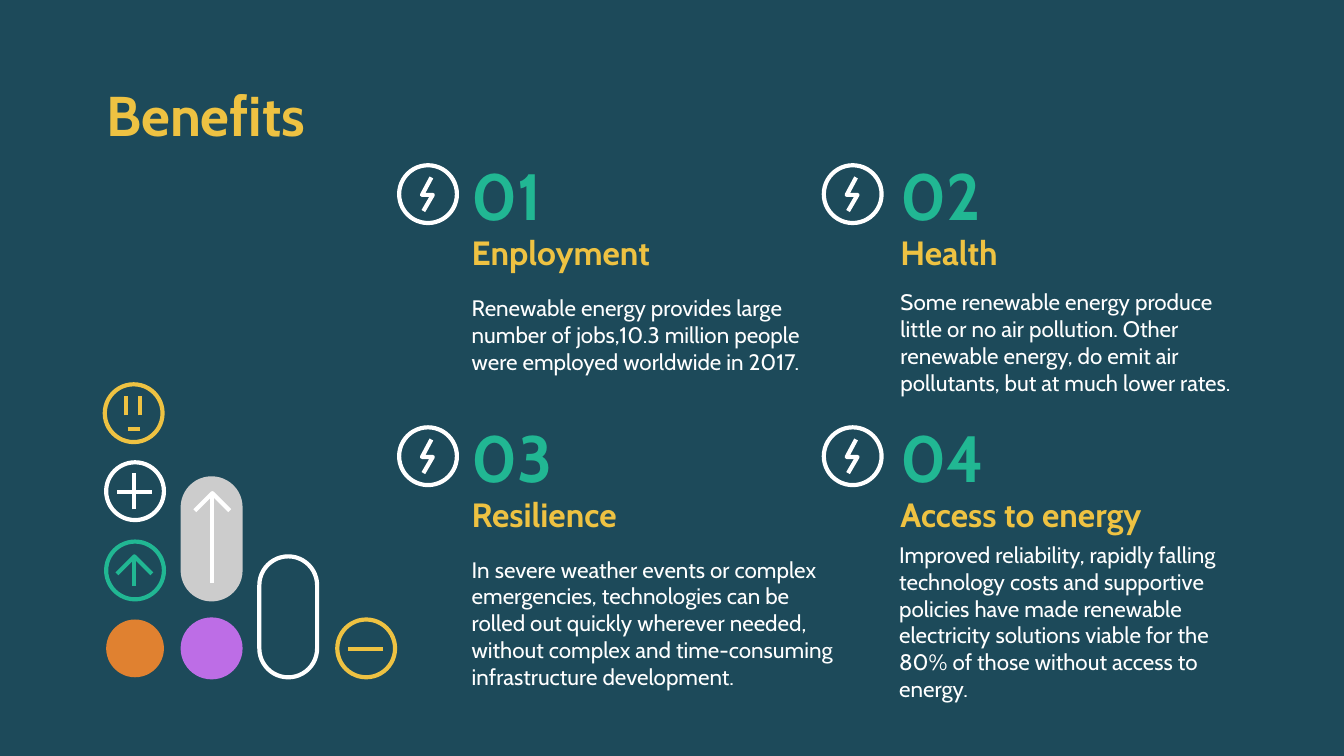
from lxml import etree
from pptx import Presentation
from pptx import util as u
from pptx.dml.color import RGBColor
from pptx.enum import shapes, text
from pptx.oxml.ns import qn

NAVY = RGBColor(0x1D, 0x4A, 0x5A)
YELLOW = RGBColor(0xEE, 0xC2, 0x42)
GREEN = RGBColor(0x21, 0xB7, 0x93)
WHITE = RGBColor(0xFF, 0xFF, 0xFF)
ORANGE = RGBColor(0xE0, 0x81, 0x30)
PURPLE = RGBColor(0xBD, 0x6D, 0xE6)
GREY = RGBColor(0xCC, 0xCC, 0xCC)

OVAL = shapes.MSO_SHAPE.OVAL
PILL = shapes.MSO_SHAPE.ROUNDED_RECTANGLE
D = 0.43  # diameter of every round icon


def write(sp, content, size=12, color=WHITE, bold=False):
    tf = sp.text_frame
    tf.word_wrap = True
    tf.auto_size = text.MSO_AUTO_SIZE.NONE
    tf.vertical_anchor = text.MSO_ANCHOR.MIDDLE
    tf.margin_left = tf.margin_right = tf.margin_top = tf.margin_bottom = 0
    p = tf.paragraphs[0]
    p.alignment = text.PP_ALIGN.LEFT
    r = p.add_run()
    r.text = content
    r.font.name = "Cabin"
    r.font.size = u.Pt(size)
    r.font.bold = bold
    r.font.color.rgb = color


class Deck:
    line_width = u.Pt(2.25)

    def __init__(self, prs):
        self.s = prs.slides.add_slide(prs.slide_layouts[5])
        self.s.background.fill.solid()
        self.s.background.fill.fore_color.rgb = NAVY

    def title(self, content, x, y, w, h):
        sp = self.s.shapes.title
        sp.left, sp.top, sp.width, sp.height = map(u.Inches, (x, y, w, h))
        write(sp, content, size=30, color=YELLOW, bold=True)

    def label(self, content, x, y, w, h, **fmt):
        write(self.s.shapes.add_textbox(*map(u.Inches, (x, y, w, h))), content, **fmt)

    def paint(self, sp, fill=None, line=None):
        sp.shadow.inherit = False
        if fill is None:
            sp.fill.background()
        else:
            sp.fill.solid()
            sp.fill.fore_color.rgb = fill
        if line is None:
            sp.line.fill.background()
        else:
            sp.line.color.rgb = line
            sp.line.width = self.line_width

    def shape(self, kind, x, y, w=D, h=D, fill=None, line=None):
        sp = self.s.shapes.add_shape(kind, *map(u.Inches, (x, y, w, h)))
        if kind == PILL:
            sp.adjustments[0] = 0.5
        self.paint(sp, fill, line)

    def line(self, x1, y1, x2, y2, color):
        c = self.s.shapes.add_connector(
            shapes.MSO_CONNECTOR.STRAIGHT, *map(u.Inches, (x1, y1, x2, y2)))
        c.line.color.rgb = color
        c.line.width = self.line_width
        etree.SubElement(c._element.spPr, qn("a:effectLst"))

    def polyline(self, points, color):
        pts = [(u.Inches(x), u.Inches(y)) for x, y in points]
        fb = self.s.shapes.build_freeform(*pts[0])
        fb.add_line_segments(pts[1:], close=False)
        self.paint(fb.convert_to_shape(), line=color)

    def up_arrow(self, x, top, bottom, color):
        wing = 0.13
        self.polyline([(x - wing, top + wing), (x, top), (x + wing, top + wing)], color)
        self.line(x, top, x, bottom, color)

    def bolt(self, x, y):
        self.shape(OVAL, x, y, line=WHITE)
        zigzag = [(0.24, 0.09), (0.17, 0.22), (0.25, 0.22), (0.18, 0.34)]
        self.polyline([(x + dx, y + dy) for dx, dy in zigzag], WHITE)


def main():
    prs = Presentation()
    prs.slide_width, prs.slide_height = u.Inches(10), u.Inches(10 * 9 / 16)
    d = Deck(prs)
    d.title("Benefits", 0.79, 0.59, 8.43, 0.52)

    # Plus icon
    d.shape(OVAL, 0.79, 3.44, line=WHITE)
    d.line(1, 3.79, 1, 3.52, WHITE)
    d.line(0.87, 3.66, 1.13, 3.66, WHITE)

    # Socket icon
    d.shape(OVAL, 0.78, 2.86, line=YELLOW)
    for x in (0.94, 1.04):
        d.line(x, 3.09, x, 2.95, YELLOW)
    d.line(0.95, 3.19, 1.04, 3.19, YELLOW)

    # Minus icon
    d.shape(OVAL, 2.51, 4.61, line=YELLOW)
    d.line(2.59, 4.83, 2.85, 4.83, YELLOW)

    # Pills and arrows
    d.shape(PILL, 1.36, 3.56, h=0.9, fill=GREY, line=GREY)
    d.up_arrow(1.58, 3.67, 4.34, WHITE)
    d.shape(PILL, 1.93, 4.14, h=0.9, line=WHITE)
    d.shape(OVAL, 0.79, 4.03, line=GREEN)
    d.up_arrow(1, 4.14, 4.36, GREEN)

    # Solid dots
    d.shape(OVAL, 0.79, 4.61, fill=ORANGE)
    d.shape(OVAL, 1.36, 4.61, fill=PURPLE, line=PURPLE)

    # Benefits grid: heading, body text, body box (left, top, width, height)
    benefits = [
        ("Enployment",
         "Renewable energy provides large number of jobs,10.3 million people "
         "were employed worldwide in 2017.", (3.51, 2.08, 2.52, 0.82)),
        ("Health",
         "Some renewable energy produce little or no air pollution. Other renewable "
         "energy, do emit air pollutants, but at much lower rates.",
         (6.7, 2.28, 2.52, 0.53)),
        ("Resilience",
         "In severe weather events or complex emergencies, technologies can be rolled "
         "out quickly wherever needed, without complex and time-consuming "
         "infrastructure development.", (3.51, 4.61, 2.75, 0.05)),
        ("Access to energy",
         "Improved reliability, rapidly falling technology costs and supportive "
         "policies have made renewable electricity solutions viable for the 80% of "
         "those without access to energy.", (6.69, 4.36, 2.52, 0.53)),
    ]
    for i, (heading, body, box) in enumerate(benefits):
        row, col = divmod(i, 2)
        x, y = 3.51 + 3.19 * col, 1.23 + 1.95 * row
        d.bolt(2.97 + 3.16 * col, y)
        d.label(f"{i + 1:02}", x, y, 0.8, D, size=35, color=GREEN, bold=True)
        d.label(heading, x, y + 0.45, 2.52, 0.39, size=18, color=YELLOW, bold=True)
        d.label(body, *box)

    prs.save("out.pptx")


if __name__ == "__main__":
    main()
